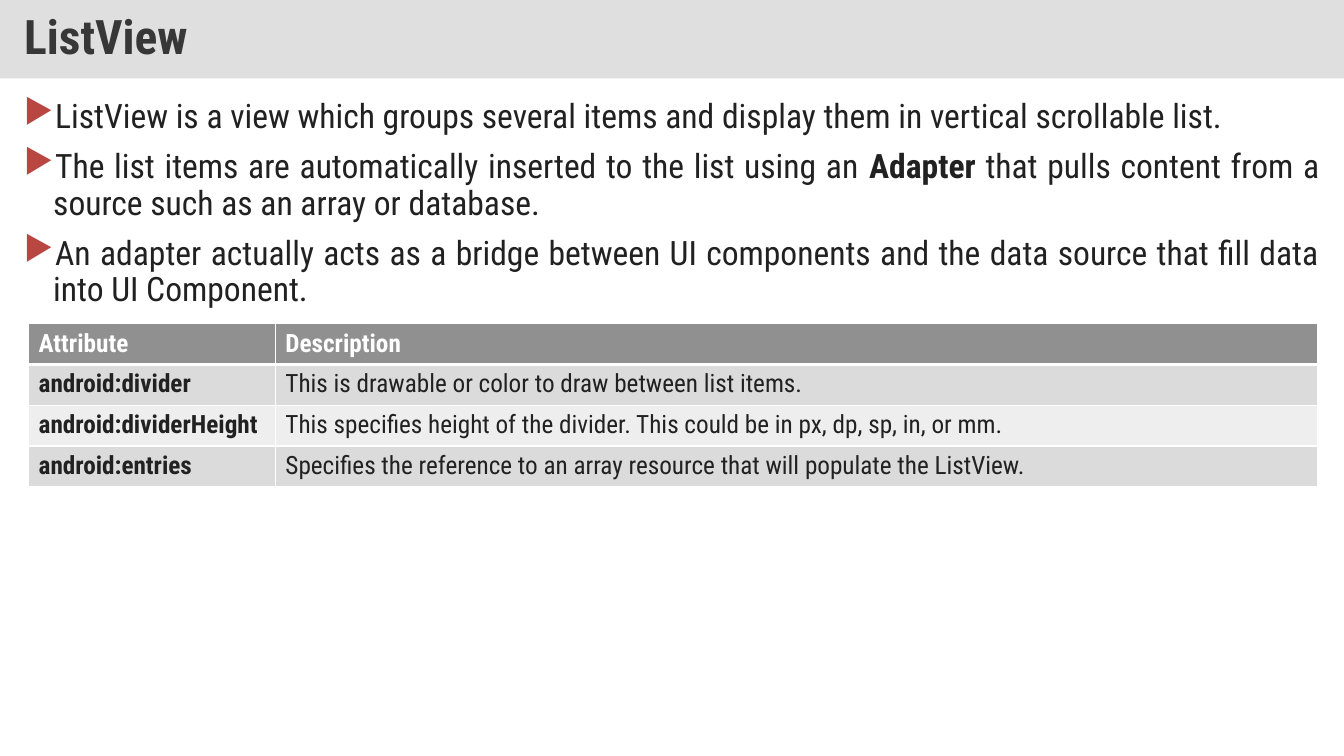
"""Builds a slide that explains ListView, with a table of its attributes."""
from dataclasses import dataclass

from lxml.etree import SubElement as Sub
from pptx import Presentation
from pptx.dml.color import RGBColor as RGB
from pptx.enum.shapes import MSO_SHAPE as Shape
from pptx.enum.text import MSO_ANCHOR as Anchor, PP_ALIGN as Align
from pptx.oxml.ns import qn
from pptx.util import Pt


@dataclass(frozen=True)
class Theme:
    face: str = "Roboto Condensed"
    bar: str = "C0C0C0"
    title: str = "373737"
    ink: str = "212121"
    mark: str = "B84742"
    white: str = "FFFFFF"
    head: str = "909090"
    odd: str = "DBDBDB"
    even: str = "EEEEEE"
    big: int = 34
    mid: int = 24
    small: int = 18


THEME = Theme()

POINTS = [
    [("ListView is a view which groups several items and display them "
      "in vertical scrollable list.", False)],
    [("The list items are automatically inserted to the list using an ", False),
     ("Adapter", True),
     (" that pulls content from a source such as an array or database.", False)],
    [("An adapter actually acts as a bridge between UI components and the "
      "data source that fill data into UI Component.", False)],
]

ROWS = [
    ("Attribute", "Description"),
    ("android:divider", "This is drawable or color to draw between list items."),
    ("android:dividerHeight",
     "This specifies height of the divider. This could be in px, dp, sp, in, or mm."),
    ("android:entries",
     "Specifies the reference to an array resource that will populate the ListView."),
]


def style(para, size, color, bold=None):
    font = para.font
    font.name, font.size, font.bold = THEME.face, Pt(size), bold
    font.color.rgb = RGB.from_string(color)


def paint(fill, color):
    fill.solid()
    fill.fore_color.rgb = RGB.from_string(color)


def add_title(slide, text):
    bar = slide.shapes.add_shape(Shape.RECTANGLE, 0, 0, Pt(960), Pt(56))
    bar.shadow.inherit = False
    bar.line.fill.background()
    paint(bar.fill, THEME.bar)
    tone = bar.fill._xPr.find(".//" + qn("a:srgbClr"))
    Sub(tone, qn("a:alpha"), val="50000")
    frame = bar.text_frame
    frame.word_wrap = True
    frame.vertical_anchor = Anchor.MIDDLE
    frame.margin_left = frame.margin_right = Pt(17.28)
    frame.margin_top = frame.margin_bottom = Pt(8.64)
    para = frame.paragraphs[0]
    para.text = text
    para.alignment = Align.LEFT
    para.line_spacing = 0.9
    style(para, THEME.big, THEME.title, True)


def add_mark(para):
    props = para._p.get_or_add_pPr()
    props.set("marL", str(Pt(20.88)))
    props.set("indent", str(-Pt(20.88)))
    Sub(Sub(props, qn("a:buClr")), qn("a:srgbClr"), val=THEME.mark)
    Sub(props, qn("a:buChar"), char="▶")


def add_points(slide, points):
    box = slide.shapes.add_textbox(Pt(10), Pt(67.6), Pt(939.6), Pt(440))
    frame = box.text_frame
    frame.word_wrap = True
    for i, parts in enumerate(points):
        para = frame.add_paragraph() if i else frame.paragraphs[0]
        para.alignment = Align.JUSTIFY
        para.line_spacing = 0.9
        para.space_before = Pt(10)
        add_mark(para)
        style(para, THEME.mid, THEME.ink)
        for text, bold in parts:
            run = para.add_run()
            run.text = text
            if bold:
                run.font.bold = True


def add_edges(cell, top, bottom):
    props = cell._tc.get_or_add_tcPr()
    for side, width in zip("LRTB", (1, 1, top, bottom)):
        line = Sub(props, qn("a:ln" + side), w=str(Pt(width)))
        Sub(Sub(line, qn("a:solidFill")), qn("a:srgbClr"), val=THEME.white)


def add_grid(slide, rows):
    high = 29.16
    grid = slide.shapes.add_table(len(rows), 2, Pt(20.4), Pt(231.2),
                                  Pt(920.8), Pt(high * len(rows))).table
    for col, width in zip(grid.columns, (176.3, 744.5)):
        col.width = Pt(width)
    for r, row in enumerate(rows):
        grid.rows[r].height = Pt(high)
        band = THEME.odd if r % 2 else THEME.even
        for c, text in enumerate(row):
            cell = grid.cell(r, c)
            add_edges(cell, 3 if r == 1 else 1, 1 if r else 3)
            paint(cell.fill, band if r else THEME.head)
            para = cell.text_frame.paragraphs[0]
            para.text = text
            style(para, THEME.small, THEME.ink if r else THEME.white,
                  r == 0 or c == 0)


def main():
    deck = Presentation()
    deck.slide_width, deck.slide_height = Pt(960), Pt(540)
    slide = deck.slides.add_slide(deck.slide_layouts[6])
    add_title(slide, "ListView")
    add_points(slide, POINTS)
    add_grid(slide, ROWS)
    deck.save("out.pptx")


if __name__ == "__main__":
    main()
